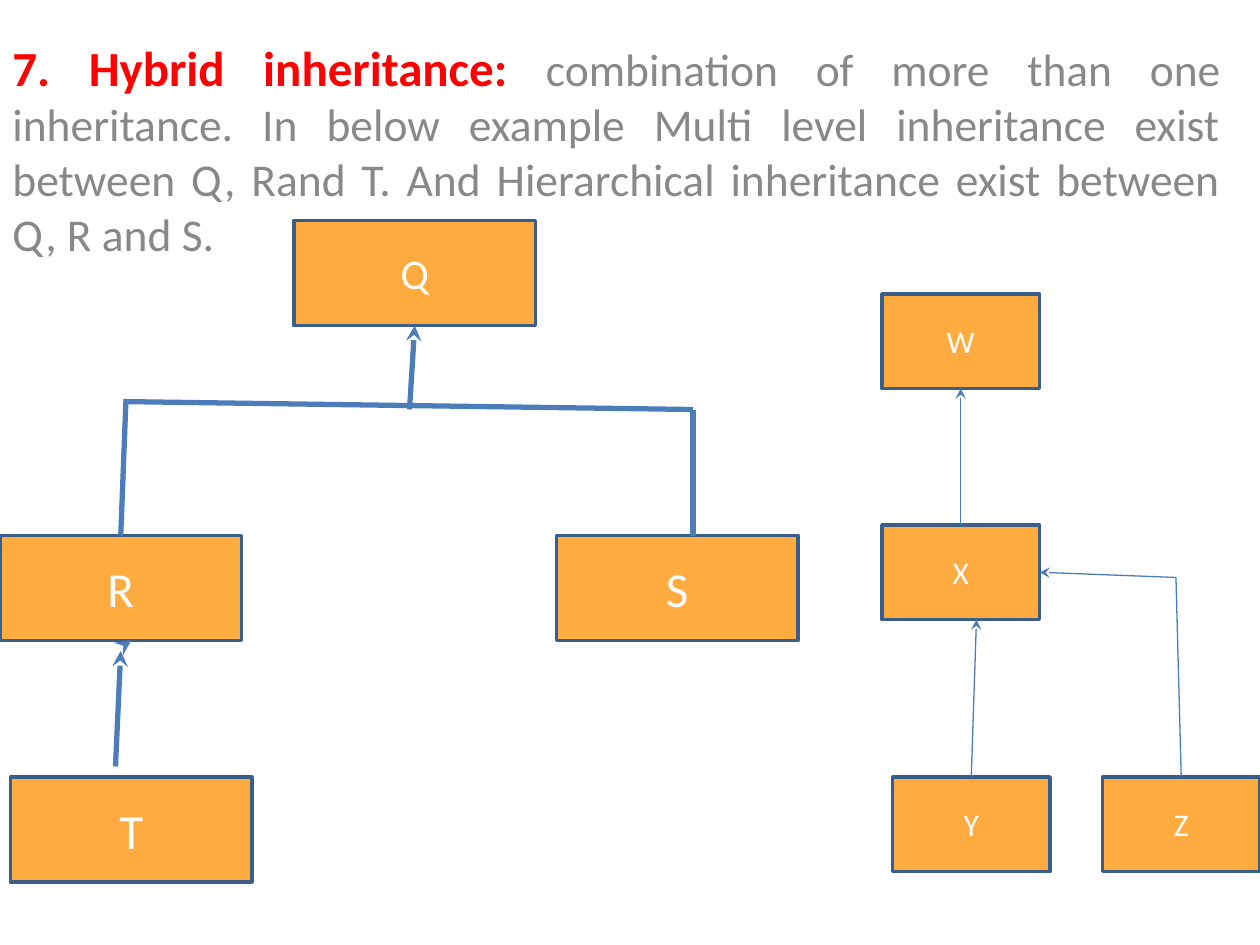
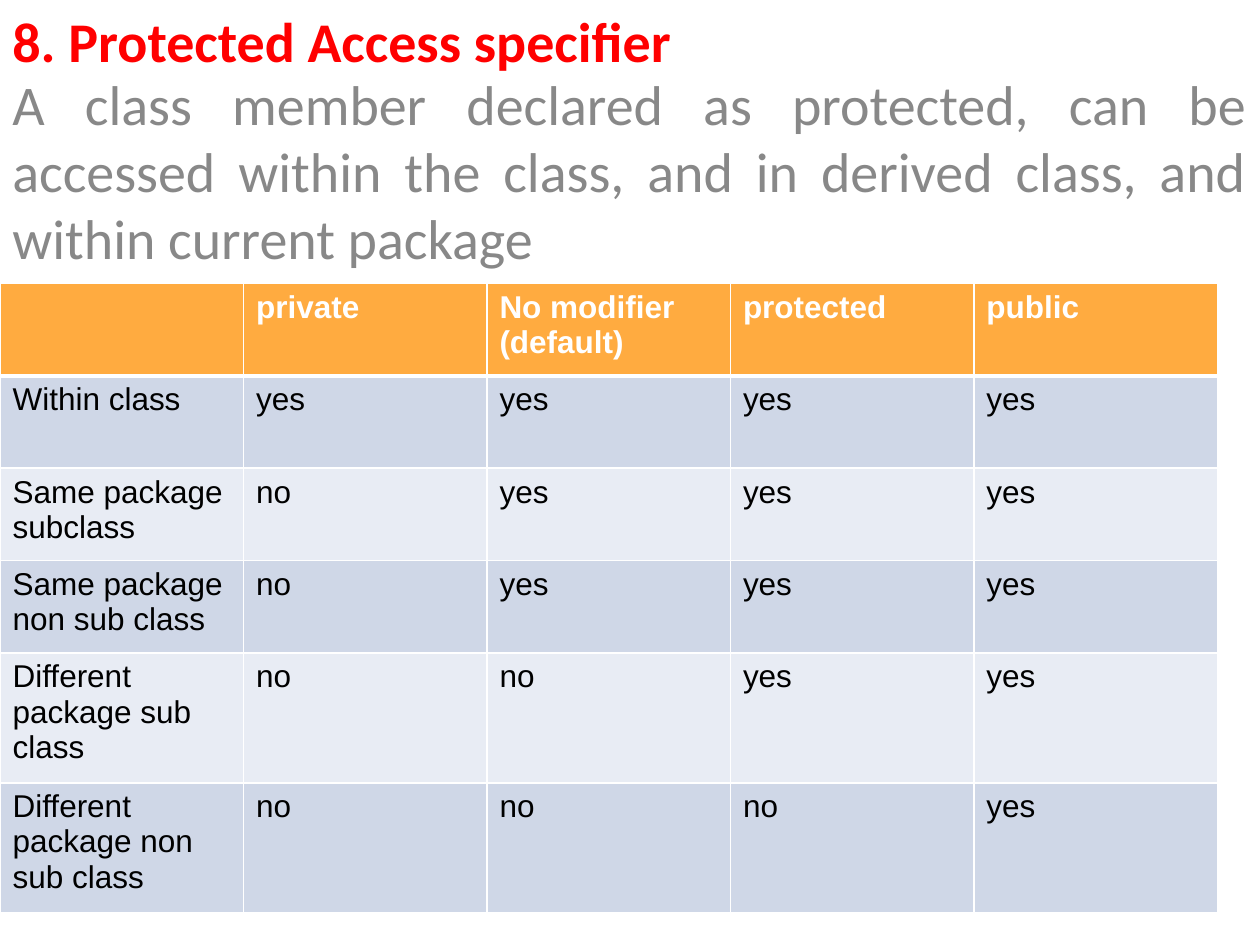
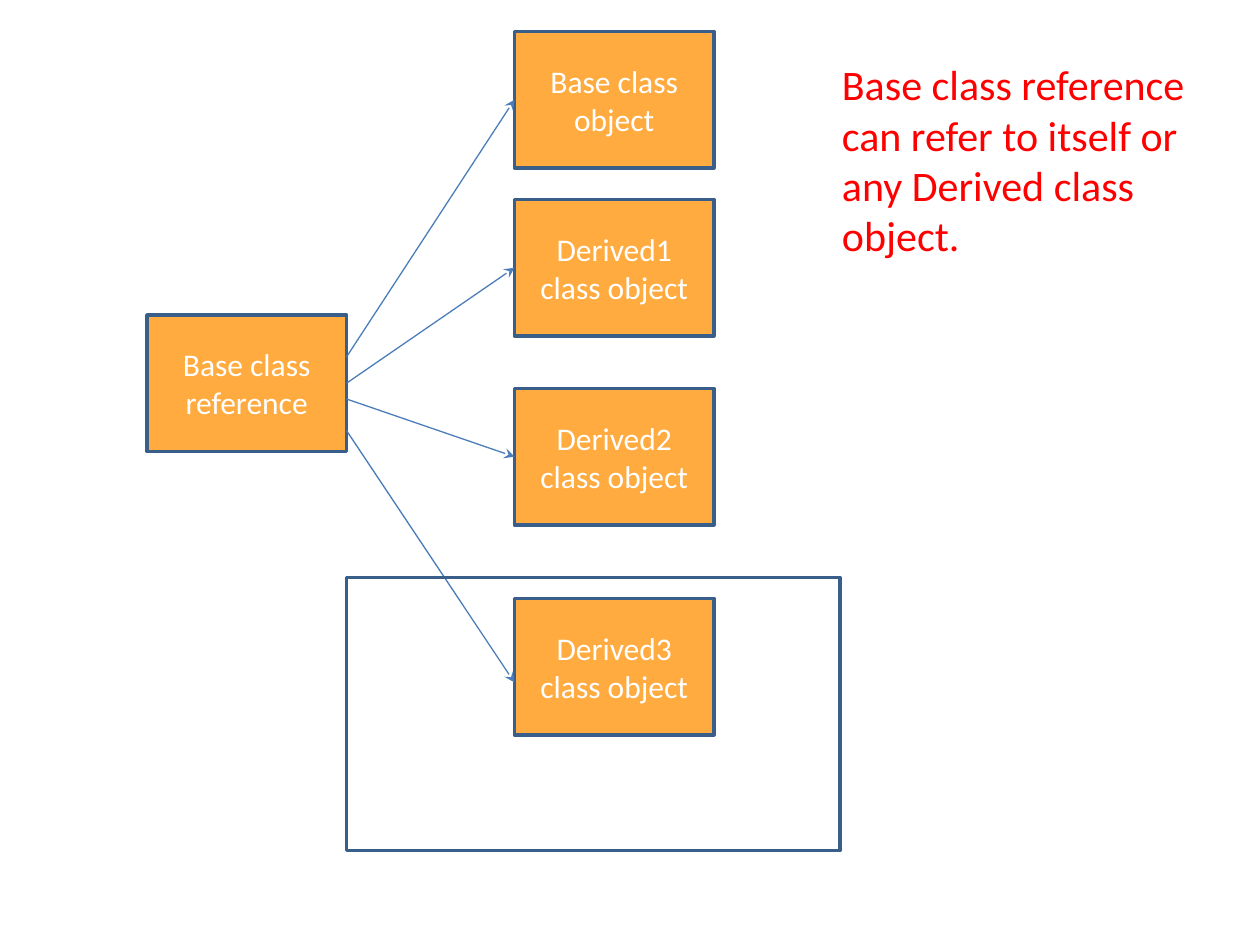
from dataclasses import dataclass

from pptx import Presentation
from pptx.dml.color import RGBColor
from pptx.enum.shapes import MSO_CONNECTOR, MSO_SHAPE
from pptx.enum.text import MSO_ANCHOR, PP_ALIGN
from pptx.oxml.xmlchemy import OxmlElement
from pptx.util import Pt

TOP, LEFT, BOTTOM, RIGHT = range(4)


@dataclass(frozen=True)
class Theme:
    orange: str = "FFAB40"
    outline: str = "395E89"
    arrow: str = "4A7DBA"
    red: str = "FF0000"
    grey: str = "888888"
    white: str = "FFFFFF"
    black: str = "000000"
    bands: tuple = ("CFD7E7", "E8ECF4")
    body_font: str = "Calibri"
    table_font: str = "Arial"
    small: int = 18
    medium: int = 24
    body: int = 26
    large: int = 28
    title: int = 32
    thin: float = 0.75
    thick: float = 3
    border: float = 2


def set_attrs(obj, fmt):
    for name, value in fmt.items():
        setattr(obj, name, value)


def rgb(color):
    return RGBColor.from_string(color)


class Deck:
    """Holds the theme and the slide being filled; lengths are in points."""

    def __init__(self, prs, theme):
        self.prs = prs
        self.theme = theme
        self.s = None

    def new_slide(self):
        self.s = self.prs.slides.add_slide(self.prs.slide_layouts[6])

    def add_run(self, p, text, size, color, bold=False, font=None):
        r = p.add_run()
        r.text = text
        set_attrs(r.font, {"name": font or self.theme.body_font,
                           "size": Pt(size), "bold": bold})
        r.font.color.rgb = rgb(color)

    def text(self, x, y, w, h, runs, align=PP_ALIGN.LEFT):
        """Add a text box with one paragraph; runs are (text, size, color, bold)."""
        tf = self.s.shapes.add_textbox(Pt(x), Pt(y), Pt(w), Pt(h)).text_frame
        tf.word_wrap = True
        p = tf.paragraphs[0]
        p.alignment = align
        for run in runs:
            self.add_run(p, *run)

    def rect(self, x, y, w, h, fill=None):
        sp = self.s.shapes.add_shape(MSO_SHAPE.RECTANGLE, Pt(x), Pt(y), Pt(w), Pt(h))
        sp.shadow.inherit = False
        if fill:
            sp.fill.solid()
            sp.fill.fore_color.rgb = rgb(fill)
        else:
            sp.fill.background()
        sp.line.color.rgb = rgb(self.theme.outline)
        sp.line.width = Pt(self.theme.border)
        return sp

    def box(self, label, x, y, w, h, size):
        sp = self.rect(x, y, w, h, self.theme.orange)
        tf = sp.text_frame
        set_attrs(tf, {"word_wrap": True, "vertical_anchor": MSO_ANCHOR.MIDDLE})
        p = tf.paragraphs[0]
        p.alignment = PP_ALIGN.CENTER
        self.add_run(p, label, size, self.theme.white)
        return sp

    def line(self, start, end, width, head=True, begin_at=None, end_at=None):
        """Draw a line; begin_at and end_at are (shape, side) to join."""
        c = self.s.shapes.add_connector(MSO_CONNECTOR.STRAIGHT, *map(Pt, start + end))
        c.line.color.rgb = rgb(self.theme.arrow)
        c.line.width = Pt(width)
        if head:
            tail = OxmlElement("a:tailEnd")
            tail.set("type", "stealth")
            c.get_or_add_ln().append(tail)
        c._element.spPr.append(OxmlElement("a:effectLst"))
        if begin_at:
            c.begin_connect(*begin_at)
        if end_at:
            c.end_connect(*end_at)

    def cell_borders(self, cell, widths):
        """Draw white borders; widths are for left, right, top, bottom."""
        tc_pr = cell._tc.get_or_add_tcPr()
        for i, (side, width) in enumerate(zip("LRTB", widths)):
            ln = OxmlElement(f"a:ln{side}")
            ln.set("w", str(Pt(width)))
            fill = OxmlElement("a:solidFill")
            clr = OxmlElement("a:srgbClr")
            clr.set("val", self.theme.white)
            fill.append(clr)
            ln.append(fill)
            tc_pr.insert(i, ln)

    def table(self, x, y, col_width, row_heights, rows):
        t = self.theme
        tbl = self.s.shapes.add_table(
            len(rows), len(rows[0]), Pt(x), Pt(y),
            Pt(col_width * len(rows[0])), Pt(sum(row_heights))).table
        tbl.horz_banding = False
        for col in tbl.columns:
            col.width = Pt(col_width)
        for i, (height, row) in enumerate(zip(row_heights, rows)):
            tbl.rows[i].height = Pt(height)
            header = i == 0
            fill = t.orange if header else t.bands[(i - 1) % 2]
            color = t.white if header else t.black
            for cell, text in zip(tbl.rows[i].cells, row):
                cell.fill.solid()
                cell.fill.fore_color.rgb = rgb(fill)
                self.cell_borders(cell, (1, 1, 3 if i == 1 else 1, 3 if header else 1))
                tf = cell.text_frame
                for n, part in enumerate(text.split("\n") if text else []):
                    p = tf.add_paragraph() if n else tf.paragraphs[0]
                    self.add_run(p, part, t.small, color, header, t.table_font)


def hybrid_inheritance(deck):
    t = deck.theme
    deck.new_slide()
    q, r, s, _ = [deck.box(label, x, y, 138, 60, size) for label, x, y, size in (
        ("Q", 168, 126, t.medium), ("R", 0, 306, t.large),
        ("S", 318, 306, t.large), ("T", 6, 444, t.large))]
    deck.line((234, 234), (237, 186), t.thick, end_at=(q, BOTTOM))
    deck.line((72, 229.5), (396, 234), t.thick, head=False)
    deck.line((72, 228), (69, 306), t.thick, head=False, end_at=(r, TOP))
    deck.line((396, 234), (396, 306), t.thick, head=False)
    deck.line((72, 368), (75, 366), t.thick)
    deck.line((66, 438), (69, 372), t.thick)
    deck.text(0, 18, 705, 80, [
        ("7. Hybrid inheritance: ", t.large, t.red, True),
        ("combination of more than one inheritance. In below example Multi level "
         "inheritance exist between Q, Rand T. And Hierarchical inheritance exist "
         "between Q, R and S.", t.body, t.grey)], PP_ALIGN.JUSTIFY)

    w, x, y, z = [deck.box(label, left, top, 90, 54, t.small) for label, left, top in (
        ("W", 504, 168), ("X", 504, 300), ("Y", 510, 444), ("Z", 630, 444))]
    deck.line((549, 300), (549, 222), t.thin, begin_at=(x, TOP), end_at=(w, BOTTOM))
    deck.line((555, 444), (558, 354), t.thin, begin_at=(y, TOP))
    deck.line((672, 330), (594, 327), t.thin, end_at=(x, RIGHT))
    deck.line((672, 330), (675, 444), t.thin, head=False, end_at=(z, TOP))


def protected_access(deck):
    t = deck.theme
    deck.new_slide()
    deck.text(0, 0, 624, 46, [("8. Protected Access specifier", t.title, t.red, True)])
    deck.text(0, 36, 720, 124, [
        ("A class member declared as protected, can be accessed within the class, "
         "and in derived class, and within current package", t.title, t.grey)],
        PP_ALIGN.JUSTIFY)
    deck.table(0, 162, 139.15, [52.8] * 4 + [74.2] * 2, [
        ("", "private", "No modifier\n(default)", "protected", "public"),
        ("Within class", "yes", "yes", "yes", "yes"),
        ("Same package subclass", "no", "yes", "yes", "yes"),
        ("Same package non sub class", "no", "yes", "yes", "yes"),
        ("Different package sub class", "no", "no", "yes", "yes"),
        ("Different package non sub class", "no", "no", "no", "yes")])


def base_class_reference(deck):
    t = deck.theme
    width, height = 114, 78
    deck.new_slide()
    deck.box("Base class reference", 84, 180, width, height, t.small)
    names = ("Base class", "Derived1 class", "Derived2 class", "Derived3 class")
    targets = [deck.box(f"{name} object", 294, top, width, height, t.small)
               for name, top in zip(names, (18, 114, 222, 342))]
    for target, start in zip(targets[:3], (204, 219, 228)):
        deck.line((198, start), (294, start), t.thin, end_at=(target, LEFT))
    deck.line((198, 246), (294, 390), t.thin)
    deck.rect(198, 330, 282, 156)
    deck.text(474, 30, 234, 124, [
        ("Base class reference can refer to itself or any Derived class object.",
         t.medium, t.red)])


def main():
    prs = Presentation()
    set_attrs(prs, {"slide_width": Pt(720), "slide_height": Pt(540)})
    deck = Deck(prs, Theme())
    hybrid_inheritance(deck)
    protected_access(deck)
    base_class_reference(deck)
    prs.save("out.pptx")


if __name__ == "__main__":
    main()
